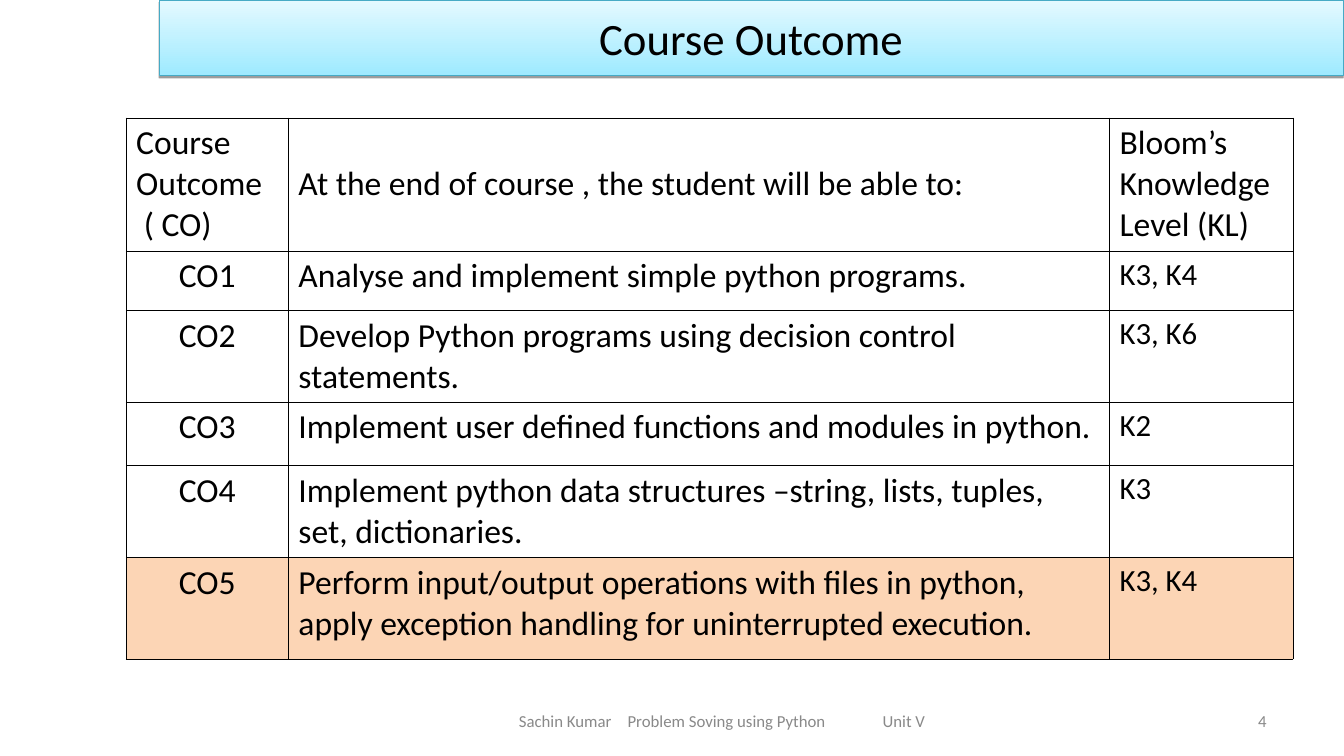
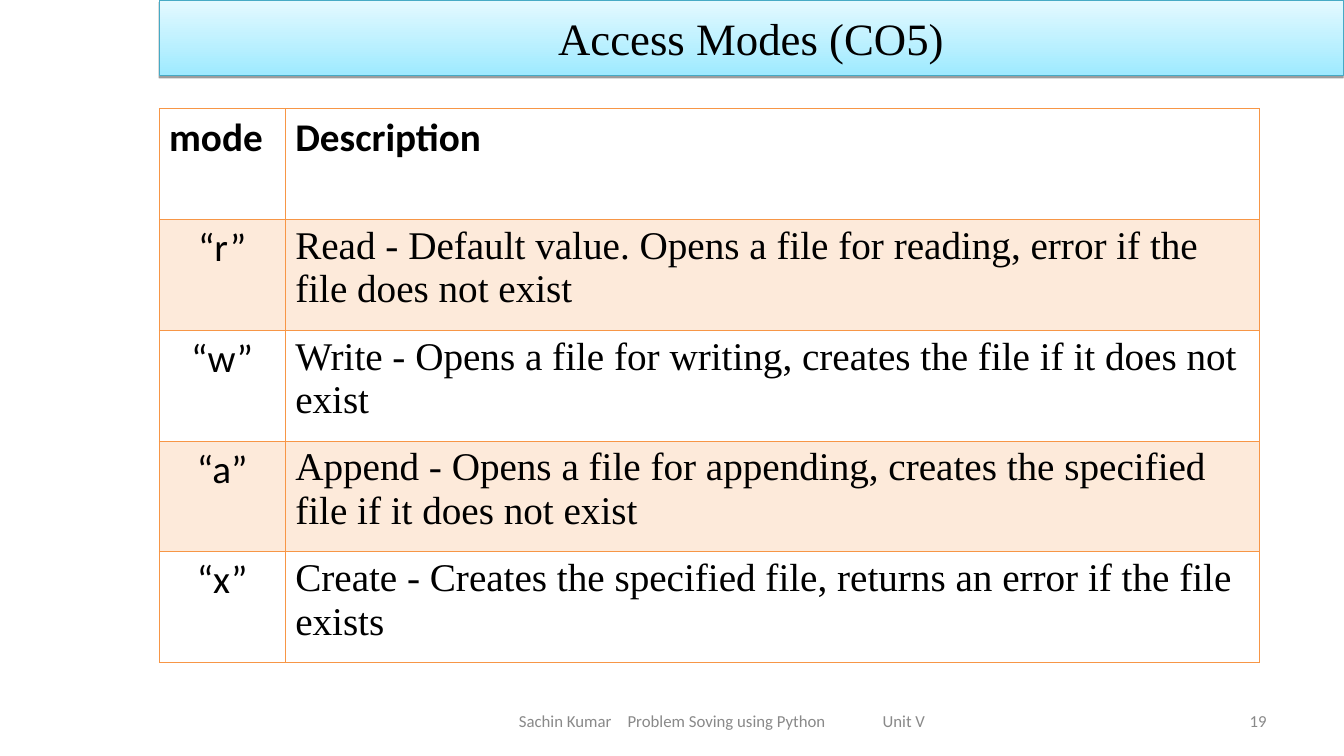
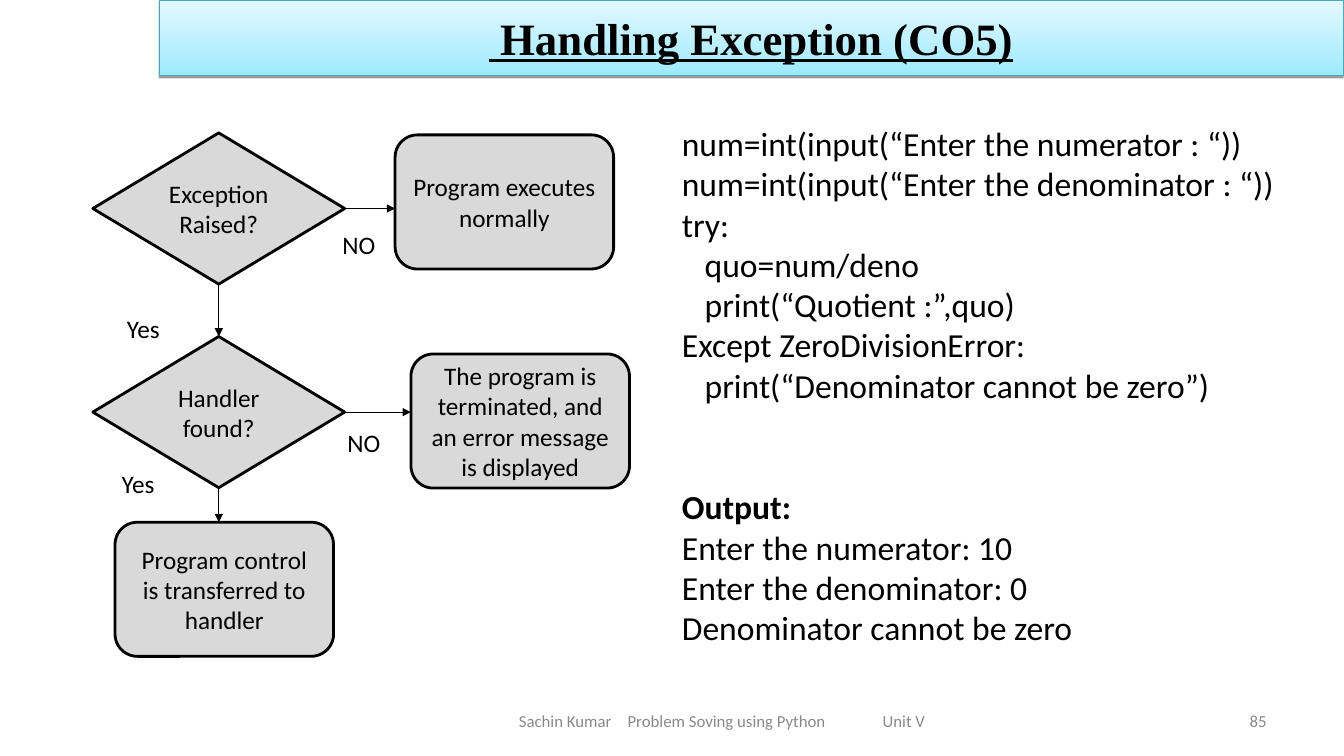
from lxml import etree
from pptx import Presentation
from pptx.dml.color import RGBColor
from pptx.enum import shapes as sh, text as tx
from pptx.oxml import ns
from pptx.util import Cm, Pt

COLOURS = {
    "ink": "000000", "footer": "898989",
    "band_low": "9EEAFF", "band_high": "E4F9FF", "band_edge": "46AAC5",
    "highlight": "FCD5B5", "mode_edge": "F79646", "mode_stripe": "FDEADA",
    "flow_fill": "D9D9D9",
}
SANS, SERIF = "Calibri", "Times New Roman"
LEFT, CENTER, RIGHT = tx.PP_ALIGN.LEFT, tx.PP_ALIGN.CENTER, tx.PP_ALIGN.RIGHT
TOP, MIDDLE = tx.MSO_ANCHOR.TOP, tx.MSO_ANCHOR.MIDDLE
SITE_TOP, SITE_LEFT, SITE_BOTTOM, SITE_RIGHT = range(4)
TITLE_ONLY = 5
TITLE_SIZE = 32
FOOTER = ("Sachin Kumar", "Problem Soving using Python", "Unit V")
FOOTER_TABS = (2.74, 9.17)


def rgb(name):
    return RGBColor.from_string(COLOURS[name])


def child(parent, tag, **attributes):
    element = etree.SubElement(parent, ns.qn(tag))
    for key, value in attributes.items():
        element.set(key, str(value))
    return element


# Text
def add_run(paragraph, words, size, font=SANS, colour="ink", bold=False,
            underline=False):
    run = paragraph.add_run()
    run.text = words
    run.font.size = Pt(size)
    run.font.name = font
    run.font.bold = bold
    run.font.underline = underline
    run.font.color.rgb = rgb(colour)


def write(frame, words, size, align=LEFT, **style):
    """Fill a text frame, one paragraph for each line of words."""
    frame.word_wrap = True
    for index, line in enumerate(words.split("\n")):
        paragraph = frame.add_paragraph() if index else frame.paragraphs[0]
        paragraph.alignment = align
        add_run(paragraph, line, size, **style)


def add_label(slide, place, words, size, anchor=TOP, **style):
    label = slide.shapes.add_textbox(*map(Cm, place))
    label.text_frame.vertical_anchor = anchor
    write(label.text_frame, words, size, **style)
    return label


# Parts shared by every slide
def add_title_band(slide, words, **style):
    band = slide.shapes.title
    band.left, band.top, band.width, band.height = map(Cm, (4.01, 0, 29.85, 1.91))
    band.fill.gradient()
    band.fill.gradient_angle = 90
    for stop, name in zip(band.fill.gradient_stops, ("band_low", "band_high")):
        stop.color.rgb = rgb(name)
    band.line.color.rgb = rgb("band_edge")
    band.line.width = Pt(0.75)
    band.shadow.inherit = False
    effects = band._element.spPr.find(ns.qn("a:effectLst"))
    shadow = child(effects, "a:outerShdw", blurRad=0, dist=20000, dir=5400000,
                   rotWithShape=0)
    child(child(shadow, "a:srgbClr", val=COLOURS["ink"]), "a:alpha", val=38000)
    band.text_frame.auto_size = tx.MSO_AUTO_SIZE.NONE
    band.text_frame.vertical_anchor = MIDDLE
    write(band.text_frame, words, TITLE_SIZE, align=CENTER, **style)


def add_footer(slide, number):
    credit = add_label(slide, (11.23, 17.65, 13.97, 1.02), "\t".join(FOOTER), 12,
                       MIDDLE, colour="footer")
    credit.text_frame.margin_left = Cm(1.85)
    stops = child(credit.text_frame.paragraphs[0]._p.get_or_add_pPr(), "a:tabLst")
    for position in FOOTER_TABS:
        child(stops, "a:tab", pos=int(Cm(position)), algn="l")
    add_label(slide, (24.28, 17.65, 7.9, 1.02), str(number), 12, MIDDLE,
              align=RIGHT, colour="footer")


def new_slide(deck, title, number, **title_style):
    slide = deck.slides.add_slide(deck.slide_layouts[TITLE_ONLY])
    add_title_band(slide, title, **title_style)
    add_footer(slide, number)
    return slide


# Tables
def set_borders(cell, colour):
    properties = cell._tc.get_or_add_tcPr()
    for position, side in enumerate(("a:lnL", "a:lnR", "a:lnT", "a:lnB")):
        edge = etree.Element(ns.qn(side), w=str(int(Pt(0.45))))
        child(child(edge, "a:solidFill"), "a:srgbClr", val=COLOURS[colour])
        properties.insert(position, edge)


def add_grid(slide, corner, widths, heights, rows, header_style, column_styles,
             filled_rows, fill, edge):
    """Draw a table whose first row is the header."""
    table = slide.shapes.add_table(
        len(rows), len(widths), *map(Cm, corner),
        Cm(sum(widths)), Cm(sum(heights))).table
    table.first_row = table.horz_banding = False
    for column, width in zip(table.columns, widths):
        column.width = Cm(width)
    for row, height in zip(table.rows, heights):
        row.height = Cm(height)
    for r, row_words in enumerate(rows):
        for c, words in enumerate(row_words):
            cell = table.cell(r, c)
            if r in filled_rows:
                cell.fill.solid()
                cell.fill.fore_color.rgb = rgb(fill)
            else:
                cell.fill.background()
            set_borders(cell, edge)
            write(cell.text_frame, words, **(column_styles[c] if r else header_style))
    return table


# Flow chart
def add_node(slide, kind, place, words):
    node = slide.shapes.add_shape(kind, *map(Cm, place))
    node.shadow.inherit = False
    node.fill.solid()
    node.fill.fore_color.rgb = rgb("flow_fill")
    node.line.color.rgb = rgb("ink")
    node.line.width = Pt(2)
    node.text_frame.vertical_anchor = MIDDLE
    write(node.text_frame, words, 18, align=CENTER)
    return node


def add_decision(slide, top, words):
    return add_node(slide, sh.MSO_SHAPE.FLOWCHART_DECISION,
                    (2.34, top, 6.35, 3.81), words)


def add_step(slide, left, top, words):
    return add_node(slide, sh.MSO_SHAPE.ROUNDED_RECTANGLE,
                    (left, top, 5.51, 3.38), words)


def add_arrow(slide, source, target, site):
    """Run straight right or down, joining the target where the middles meet."""
    middle_x = source.left + source.width // 2
    middle_y = source.top + source.height // 2
    if site == SITE_RIGHT:
        start, end = (source.left + source.width, middle_y), (target.left, middle_y)
        joined = middle_y == target.top + target.height // 2
        target_site = SITE_LEFT
    else:
        start, end = (middle_x, source.top + source.height), (middle_x, target.top)
        joined = middle_x == target.left + target.width // 2
        target_site = SITE_TOP
    arrow = slide.shapes.add_connector(sh.MSO_CONNECTOR.STRAIGHT, *start, *end)
    arrow.begin_connect(source, site)
    if joined:
        arrow.end_connect(target, target_site)
    arrow.line.color.rgb = rgb("ink")
    arrow.line.width = Pt(0.75)
    child(arrow.line._get_or_add_ln(), "a:tailEnd", type="triangle")
    child(arrow._element.spPr, "a:effectLst")


# Slides
def build_outcomes(deck):
    slide = new_slide(deck, "Course Outcome", 4)
    rows = [
        ("Course Outcome\n ( CO)",
         "At the end of course , the student will be able to:",
         "Bloom’s Knowledge Level (KL)"),
        ("CO1", "Analyse and implement simple python programs.", "K3, K4"),
        ("CO2", "Develop Python programs using decision control statements.",
         "K3, K6"),
        ("CO3", "Implement user defined functions and modules in python.", "K2"),
        ("CO4", "Implement python data structures –string, lists, tuples, set, "
                "dictionaries.", "K3"),
        ("CO5", "Perform input/output operations with files in python, apply "
                "exception handling for uninterrupted execution.", "K3, K4"),
    ]
    outcomes = add_grid(
        slide, (3.18, 2.97), (4.09, 20.7, 4.62),
        (3.35, 1.5, 2.31, 1.6, 2.31, 2.57), rows,
        header_style=dict(size=24),
        column_styles=(dict(size=24, align=CENTER), dict(size=24), dict(size=22)),
        filled_rows={5}, fill="highlight", edge="ink")
    outcomes.cell(0, 1).vertical_anchor = MIDDLE


def build_access_modes(deck):
    slide = new_slide(deck, "Access Modes (CO5)", 19, font=SERIF)
    rows = [
        ("mode", "Description"),
        ("“r”", "Read - Default value. Opens a file for reading, error if the "
                "file does not exist"),
        ("“w”", "Write - Opens a file for writing, creates the file if it does "
                "not exist"),
        ("“a”", "Append - Opens a file for appending, creates the specified "
                "file if it does not exist"),
        ("“x”", "Create - Creates the specified file, returns an error if the "
                "file exists"),
    ]
    add_grid(
        slide, (4.01, 2.74), (3.18, 24.56), [2.79] * len(rows), rows,
        header_style=dict(size=28, bold=True),
        column_styles=(dict(size=28, align=CENTER), dict(size=28, font=SERIF)),
        filled_rows={1, 3}, fill="mode_stripe", edge="mode_edge")


def build_exception_handling(deck):
    slide = new_slide(deck, " Handling Exception (CO5)", 85, font=SERIF,
                      bold=True, underline=True)

    # Program and its output
    program = "\n".join((
        "num=int(input(“Enter the numerator : “))",
        "num=int(input(“Enter the denominator : “))",
        "try:",
        "   quo=num/deno",
        "   print(“Quotient :”,quo)",
        "Except ZeroDivisionError:",
        "   print(“Denominator cannot be zero”)",
    ))
    output = ("Enter the numerator: 10", "Enter the denominator: 0",
              "Denominator cannot be zero")
    listing = add_label(slide, (16.94, 2.97, 15.67, 13.46), program, 24).text_frame
    heading = listing.add_paragraph()
    heading.space_before = Pt(58)
    add_run(heading, "Output:", 24, bold=True)
    for line in output:
        add_run(listing.add_paragraph(), line, 24)

    # Flow chart
    raised = add_decision(slide, 3.35, "Exception\nRaised?")
    found = add_decision(slide, 8.48, "Handler found?")
    normal = add_step(slide, 9.96, 3.4, "Program executes\nnormally")
    terminated = add_step(slide, 10.36, 8.92, "The program is terminated, and "
                          "an error message is displayed")
    handler = add_step(slide, 2.9, 13.16,
                       "Program control is transferred to handler")
    for source, target, site in (
            (raised, normal, SITE_RIGHT), (found, terminated, SITE_RIGHT),
            (raised, found, SITE_BOTTOM), (found, handler, SITE_BOTTOM)):
        add_arrow(slide, source, target, site)
    for answer, left, top in (("NO", 8.38, 5.66), ("NO", 8.51, 10.64),
                              ("Yes", 2.95, 7.77), ("Yes", 2.82, 11.68)):
        add_label(slide, (left, top, 1.91, 1.02), answer, 18)


def main():
    deck = Presentation()
    deck.slide_width, deck.slide_height = Cm(33.88), Cm(19.05)
    build_outcomes(deck)
    build_access_modes(deck)
    build_exception_handling(deck)
    deck.save("out.pptx")


if __name__ == "__main__":
    main()
